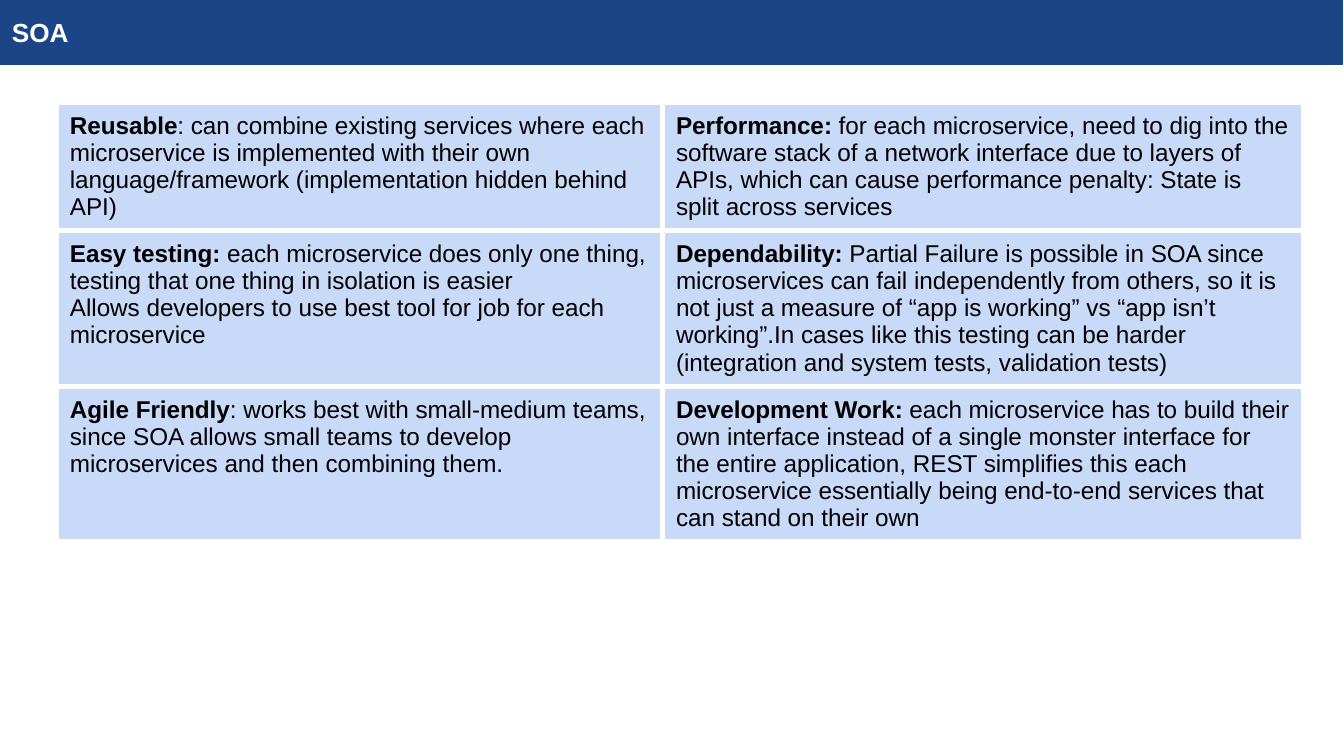
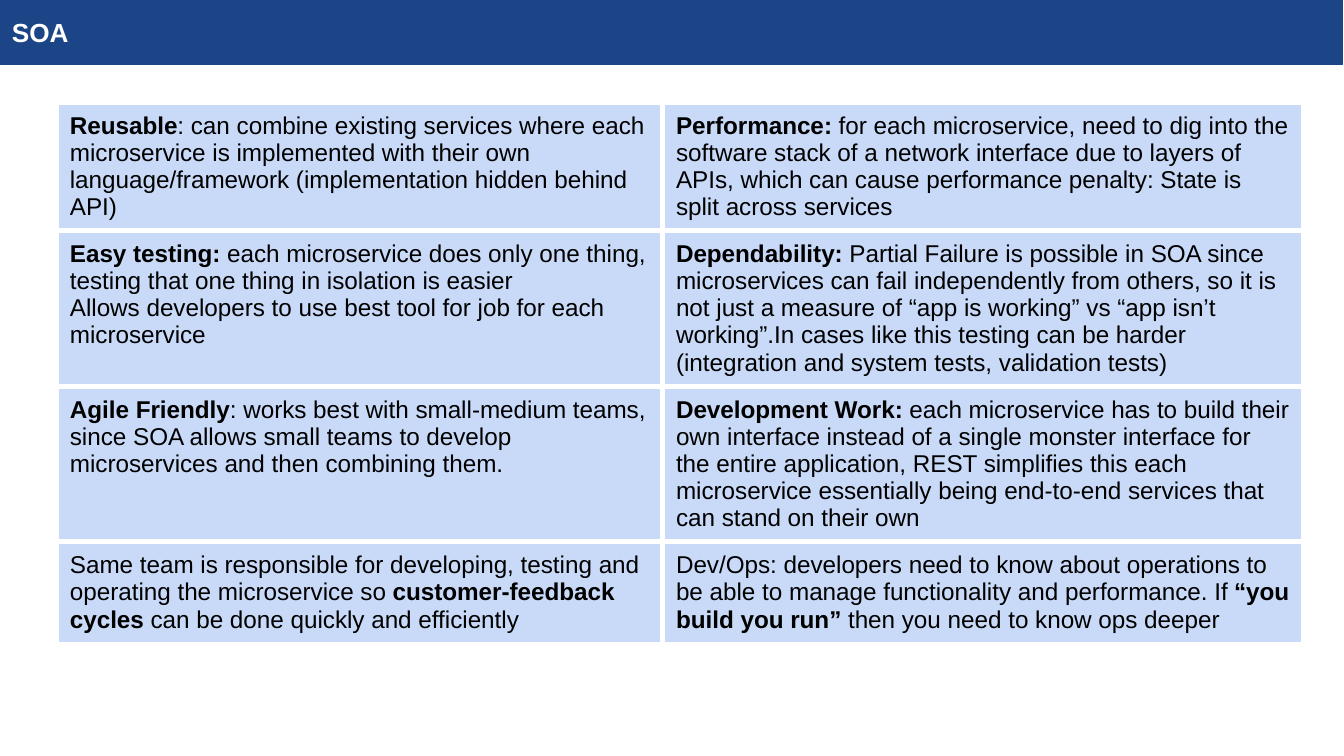
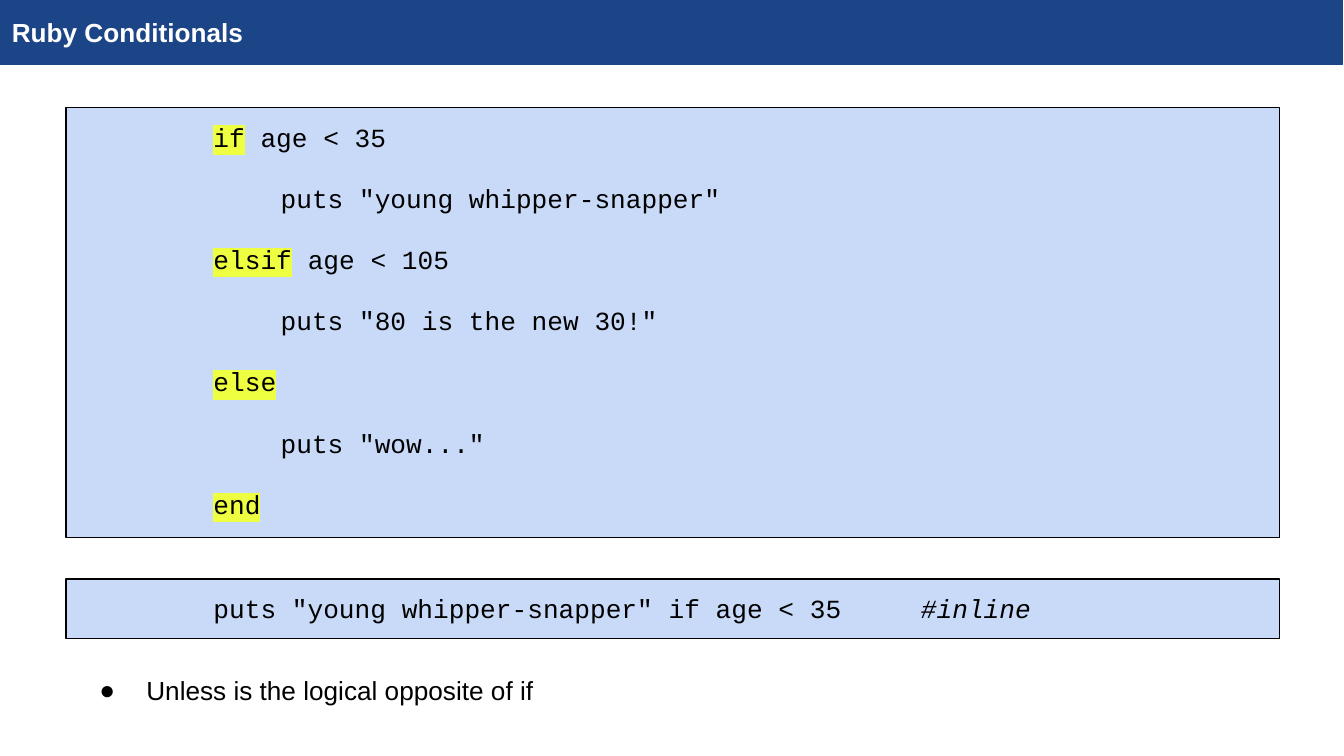
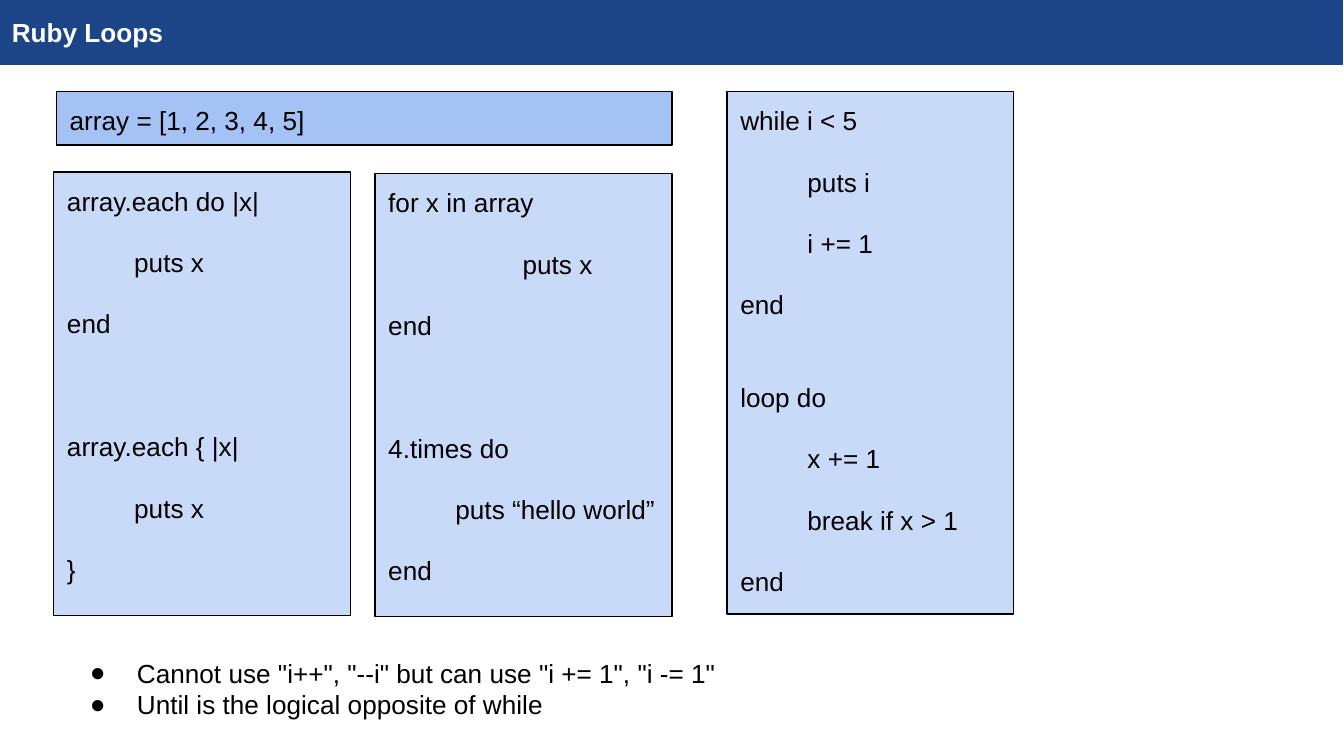
import dataclasses

import lxml.etree
import pptx
import pptx.dml.color
import pptx.enum.shapes
import pptx.enum.text
import pptx.oxml.ns
import pptx.util

NAVY = pptx.dml.color.RGBColor(0x1C, 0x45, 0x87)
PALE_BLUE = pptx.dml.color.RGBColor(0xC9, 0xDA, 0xF8)
MID_BLUE = pptx.dml.color.RGBColor(0xA4, 0xC2, 0xF4)
YELLOW = pptx.dml.color.RGBColor(0xEE, 0xFF, 0x41)
WHITE = pptx.dml.color.RGBColor(0xFF, 0xFF, 0xFF)
BLACK = pptx.dml.color.RGBColor(0, 0, 0)

SANS = "Arial"
MONO = "Courier New"
GRID_STEP = pptx.util.Inches(0.1)
TEXT_SIZE = 14
TABLE_SIZE = 13
LINE_GAP = 16
BLOCK_GAP = 49
SHORT_BLOCK_GAP = 33
WIDE_SPACE = 33.6

TABLE_COLUMNS = (45.1, 47.7)
SOA_ROWS = [
    (7.6, [
        "*Reusable*: can combine existing services where each microservice is implemented "
        "with their own language/framework (implementation hidden behind API)",
        "*Performance: *for each microservice, need to dig into the software stack of a "
        "network interface due to layers of APIs, which can cause performance penalty: "
        "State is split across services",
    ]),
    (11.3, [
        "*Easy testing: *each microservice does only one thing, testing that one thing in "
        "isolation is easier\n"
        "Allows developers to use best tool for job for each microservice",
        "*Dependability: *Partial Failure is possible in SOA since microservices can fail "
        "independently from others, so it is not just a measure of “app is working” vs "
        "“app isn’t working”.In cases like this testing can be harder (integration and "
        "system tests, validation tests)",
    ]),
    (9.1, [
        "*Agile Friendly*: works best with small-medium teams, since SOA allows small teams "
        "to develop microservices and then combining them.",
        "*Development Work: *each microservice has to build their own interface instead of "
        "a single monster interface for the entire application, REST simplifies this each "
        "microservice essentially being end-to-end services that can stand on their own",
    ]),
]
TEAM_ROW = (7.6, [
    "Same team is responsible for developing, testing and operating the microservice so "
    "*customer-feedback cycles *can be done quickly and efficiently",
    "Dev/Ops: developers need to know about operations to be able to manage functionality "
    "and performance. If *“you build you run”* then you need to know ops deeper",
])


@dataclasses.dataclass
class Line:
    text: str
    indent: float = 0
    before: int = LINE_GAP


def grid(*steps):
    return [round(step * GRID_STEP) for step in steps]


def add_xml(parent, tag, **attributes):
    return lxml.etree.SubElement(parent, pptx.oxml.ns.qn(tag), **attributes)


def make_bold(span):
    span.font.bold = True


def make_italic(span):
    span.font.italic = True


def widen(span):
    span.font._element.set("spc", str(round(WIDE_SPACE * 100)))


def highlight(span):
    properties = span.font._element
    mark = add_xml(properties, "a:highlight")
    add_xml(mark, "a:srgbClr", val=str(YELLOW))
    properties.find(pptx.oxml.ns.qn("a:solidFill")).addnext(mark)


def write(para, text, size=TEXT_SIZE, font=SANS, color=BLACK, emphasize=make_bold):
    for number, part in enumerate(text.split("*")):
        if part:
            span = para.add_run()
            span.text = part
            span.font.size = pptx.util.Pt(size)
            span.font.name = font
            span.font.color.rgb = color
            if number % 2:
                emphasize(span)


def paragraphs(frame, count):
    return [frame.paragraphs[0]] + [frame.add_paragraph() for _ in range(count - 1)]


def set_indent(para, left, first):
    properties = para._p.get_or_add_pPr()
    properties.set("marL", str(pptx.util.Inches(left)))
    properties.set("indent", str(pptx.util.Inches(first)))
    return properties


def set_margins(area, across, down):
    area.margin_left, area.margin_top, area.margin_right, area.margin_bottom = grid(
        across, down, across, down)


def add_panel(page, place, fill, line=BLACK):
    panel = page.shapes.add_shape(pptx.enum.shapes.MSO_SHAPE.RECTANGLE, *grid(*place))
    panel.shadow.inherit = False
    panel.fill.solid()
    panel.fill.fore_color.rgb = fill
    panel.line.color.rgb = line
    panel.line.width = pptx.util.Pt(0.75)
    panel.text_frame.word_wrap = True
    set_margins(panel.text_frame, 1, 1)
    panel.text_frame.vertical_anchor = pptx.enum.text.MSO_ANCHOR.TOP
    panel.text_frame.paragraphs[0].alignment = pptx.enum.text.PP_ALIGN.LEFT
    return panel


def add_page(deck, title):
    page = deck.slides.add_slide(deck.slide_layouts[6])
    band = add_panel(page, (-0.1, 0, 100, 4.8), NAVY, NAVY)
    band.text_frame.vertical_anchor = pptx.enum.text.MSO_ANCHOR.MIDDLE
    write(band.text_frame.paragraphs[0], f"*{title}*", color=WHITE)
    return page


def add_code(page, place, lines, fill=PALE_BLUE, font=SANS, left=0):
    panel = add_panel(page, place, fill)
    paras = paragraphs(panel.text_frame, len(lines))
    for number, (para, line) in enumerate(zip(paras, lines)):
        para.alignment = pptx.enum.text.PP_ALIGN.LEFT
        set_indent(para, left, line.indent)
        if number:
            para.space_before = pptx.util.Pt(line.before)
        write(para, line.text, font=font, emphasize=highlight)
    return panel


def add_bullets(page, place, texts):
    box = page.shapes.add_textbox(*grid(*place))
    box.text_frame.word_wrap = True
    set_margins(box.text_frame, 1, 1)
    for para, text in zip(paragraphs(box.text_frame, len(texts)), texts):
        properties = set_indent(para, 0.5, -0.35)
        add_xml(add_xml(properties, "a:buClr"), "a:srgbClr", val=str(BLACK))
        add_xml(properties, "a:buFont", typeface=SANS)
        add_xml(properties, "a:buChar", char="●")
        write(para, text)


def set_borders(cell):
    properties = cell._tc.get_or_add_tcPr()
    for position, side in enumerate(("a:lnL", "a:lnR", "a:lnT", "a:lnB")):
        border = add_xml(properties, side, w=str(pptx.util.Pt(3)))
        add_xml(add_xml(border, "a:solidFill"), "a:srgbClr", val=str(WHITE))
        properties.insert(position, border)


def add_soa_table(page, rows):
    height = sum(row_height for row_height, _ in rows)
    place = grid(4.2, 7.6, sum(TABLE_COLUMNS), height)
    table = page.shapes.add_table(len(rows), len(TABLE_COLUMNS), *place).table
    table.first_row = False
    table.horz_banding = False
    for column, width in zip(table.columns, grid(*TABLE_COLUMNS)):
        column.width = width
    for row, (row_height, texts) in zip(table.rows, rows):
        row.height = grid(row_height)[0]
        for cell, text in zip(row.cells, texts):
            set_margins(cell, 1, 0.75)
            cell.fill.solid()
            cell.fill.fore_color.rgb = PALE_BLUE
            set_borders(cell)
            parts = text.split("\n")
            for para, part in zip(paragraphs(cell.text_frame, len(parts)), parts):
                write(para, part, size=TABLE_SIZE)


def build_conditionals(deck):
    page = add_page(deck, "Ruby Conditionals")
    add_code(page, (4.9, 8, 90.3, 32), [
        Line("*if* age < 35"),
        Line('puts "young whipper-snapper"', 0.5),
        Line("*elsif* age < 105"),
        Line('puts "80 is the new 30!"', 0.5),
        Line("*else*"),
        Line('puts "wow..."', 0.5),
        Line("*end*"),
    ], font=MONO, left=1)
    inline = add_code(page, (4.9, 43.1, 90.3, 4.4), [
        Line('puts "young whipper-snapper" if age < 35'),
    ], font=MONO, left=1)
    statement = inline.text_frame.paragraphs[0]
    write(statement, "* *", font=MONO, emphasize=widen)
    write(statement, "*#inline*", font=MONO, emphasize=make_italic)
    add_bullets(page, (4.9, 49.2, 83.5, 4.4), ["Unless is the logical opposite of if"])


def build_loops(deck):
    page = add_page(deck, "Ruby Loops")
    add_code(page, (4, 12.8, 22.1, 33), [
        Line("array.each do |x|"),
        Line("puts x", 0.5),
        Line("end"),
        Line("array.each { |x|", before=BLOCK_GAP),
        Line("puts x", 0.5),
        Line("}"),
    ])
    add_code(page, (27.9, 12.9, 22.1, 33), [
        Line("for x in array"),
        Line("puts x", 1),
        Line("end"),
        Line("4.times do", before=BLOCK_GAP),
        Line("puts “hello world”", 0.5),
        Line("end"),
    ])
    add_code(page, (4.2, 6.8, 45.8, 4), [Line("array = [1, 2, 3, 4, 5]")], fill=MID_BLUE)
    add_code(page, (54.1, 6.8, 21.3, 38.9), [
        Line("while i < 5"),
        Line("puts i", 0.5),
        Line("i += 1", 0.5),
        Line("end"),
        Line("loop do", before=SHORT_BLOCK_GAP),
        Line("x += 1", 0.5),
        Line("break if x > 1", 0.5),
        Line("end"),
    ])
    add_bullets(page, (4.2, 47.9, 83.5, 6.7), [
        'Cannot use "i++", "--i" but can use "i += 1", "i -= 1"',
        "Until is the logical opposite of while",
    ])


def main():
    deck = pptx.Presentation()
    deck.slide_width, deck.slide_height = grid(100, 56.25)
    for rows in (SOA_ROWS, SOA_ROWS + [TEAM_ROW]):
        add_soa_table(add_page(deck, "SOA"), rows)
    build_conditionals(deck)
    build_loops(deck)
    deck.save("out.pptx")


if __name__ == "__main__":
    main()
